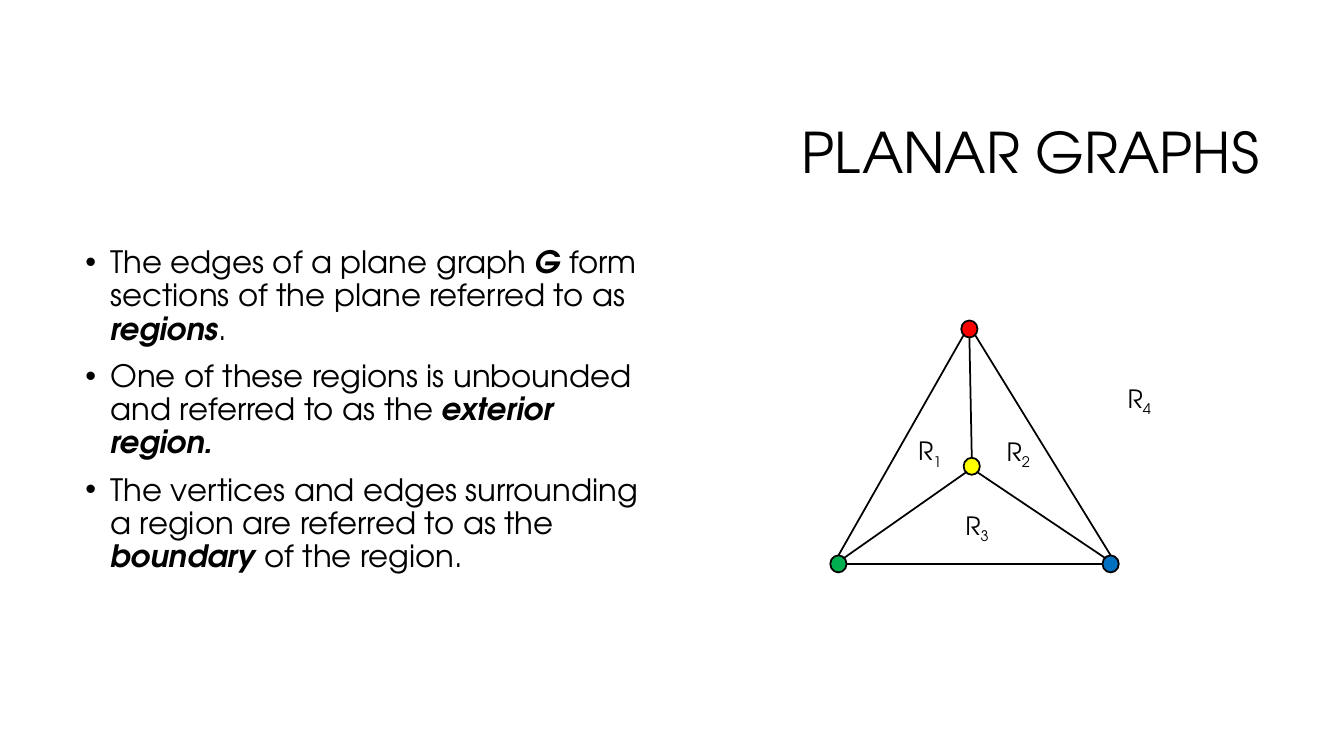
import math

import lxml.etree
import pptx
import pptx.dml.color
import pptx.enum.shapes
import pptx.enum.text
import pptx.oxml.ns
import pptx.util

Cm = pptx.util.Cm
Pt = pptx.util.Pt
Align = pptx.enum.text.PP_ALIGN
Anchor = pptx.enum.text.MSO_ANCHOR
COLORS = {
    "ink": "000000",
    "paper": "FFFFFF",
    "red": "FF0000",
    "yellow": "FFFF00",
    "green": "00B050",
    "blue": "0070C0",
}
VERTEX_WIDTH, VERTEX_HEIGHT = 0.41, 0.43


def color(name):
    return pptx.dml.color.RGBColor.from_string(COLORS[name])


def add_xml(parent, tag, **attributes):
    return lxml.etree.SubElement(parent, pptx.oxml.ns.qn(tag), **attributes)


class SlideWriter:
    font = "TeX Gyre Adventor"
    line_width = Pt(1.25)

    def __init__(self, slide):
        self.slide = slide
        slide.background.fill.solid()
        slide.background.fill.fore_color.rgb = color("paper")
        self.graph = slide.shapes.add_group_shape()

    def text_box(self, left, top, width, height, anchor=Anchor.TOP, wrap=True):
        box = self.slide.shapes.add_textbox(Cm(left), Cm(top), Cm(width), Cm(height))
        box.text_frame.word_wrap = wrap
        box.text_frame.vertical_anchor = anchor
        return box.text_frame

    def span(self, para, text, size, strong=False, baseline=None):
        span = para.add_run()
        span.text = text
        span.font.name = self.font
        span.font.size = Pt(size)
        span.font.bold = span.font.italic = strong
        span.font.color.rgb = color("ink")
        if baseline:
            span.font._element.set("baseline", str(baseline))

    def title(self, text, *place):
        para = self.text_box(*place, anchor=Anchor.MIDDLE).paragraphs[0]
        para.alignment = Align.RIGHT
        para.line_spacing = 0.9
        self.span(para, text, 40)

    def bullets(self, items, *place):
        frame = self.text_box(*place)
        for index, item in enumerate(items):
            para = frame.add_paragraph() if index else frame.paragraphs[0]
            para.line_spacing = 0.9
            para.space_before = Pt(10)
            properties = para._p.get_or_add_pPr()
            properties.set("marL", str(Pt(18)))
            properties.set("indent", str(-Pt(18)))
            add_xml(properties, "a:buFont", typeface="Arial")
            add_xml(properties, "a:buChar", char="•")
            for text, strong in item:
                self.span(para, text, 22, strong)

    def vertex(self, name, x, y):
        dot = self.graph.shapes.add_shape(
            pptx.enum.shapes.MSO_SHAPE.OVAL,
            Cm(x - VERTEX_WIDTH / 2), Cm(y - VERTEX_HEIGHT / 2),
            Cm(VERTEX_WIDTH), Cm(VERTEX_HEIGHT),
        )
        dot.shadow.inherit = False
        dot.fill.solid()
        dot.fill.fore_color.rgb = color(name)
        dot.line.color.rgb = color("ink")
        dot.line.width = self.line_width

    def edge(self, start, end):
        edge = self.graph.shapes.add_connector(
            pptx.enum.shapes.MSO_CONNECTOR.STRAIGHT, *map(Cm, start + end)
        )
        edge.line.color.rgb = color("ink")
        edge.line.width = self.line_width
        add_xml(edge._element.spPr, "a:effectLst")

    def region(self, number, left, top):
        frame = self.text_box(left, top, 1.14, 1.02, wrap=False)
        frame.auto_size = pptx.enum.text.MSO_AUTO_SIZE.SHAPE_TO_FIT_TEXT
        self.span(frame.paragraphs[0], "R", 18)
        self.span(frame.paragraphs[0], str(number), 18, baseline=-25000)


VERTICES = {
    "red": (24.43, 8.29),
    "yellow": (24.49, 11.75),
    "green": (21.13, 14.21),
    "blue": (27.99, 14.21),
}
DIRECTIONS = {
    name: math.radians(45 * step)
    for step, name in enumerate(["E", "SE", "S", "SW", "W", "NW", "N", "NE"])
}
EDGES = [
    ("red", "S", "yellow", "N"),
    ("blue", "NW", "yellow", "SE"),
    ("blue", "W", "green", "E"),
    ("red", "SW", "green", "N"),
    ("yellow", "SW", "green", "NE"),
    ("red", "SE", "blue", "N"),
]
REGIONS = [(22.89, 10.85), (25.12, 10.87), (24.08, 12.73), (28.17, 9.53)]
STATEMENTS = [
    [
        ("The edges of a plane graph ", False),
        ("G", True),
        (" form sections of the plane referred to as ", False),
        ("regions", True),
        (".", False),
    ],
    [
        ("One of these regions is unbounded and referred to as the ", False),
        ("exterior region.", True),
    ],
    [
        ("The vertices and edges surrounding a region are referred to as the ", False),
        ("boundary", True),
        (" of the region.", False),
    ],
]


def rim(vertex, direction):
    x, y = VERTICES[vertex]
    angle = DIRECTIONS[direction]
    return (
        x + VERTEX_WIDTH / 2 * math.cos(angle),
        y + VERTEX_HEIGHT / 2 * math.sin(angle),
    )


deck = pptx.Presentation()
deck.slide_width, deck.slide_height = Cm(33.87), Cm(19.05)
page = SlideWriter(deck.slides.add_slide(deck.slide_layouts[6]))
page.title("PLANAR GRAPHS", 8.05, 2.13, 23.93, 3.58)
page.bullets(STATEMENTS, 1.9, 6.1, 14.81, 10.82)
for name, center in VERTICES.items():
    page.vertex(name, *center)
for first, leaving, second, entering in EDGES:
    page.edge(rim(first, leaving), rim(second, entering))
for number, corner in enumerate(REGIONS, 1):
    page.region(number, *corner)
deck.save("out.pptx")
